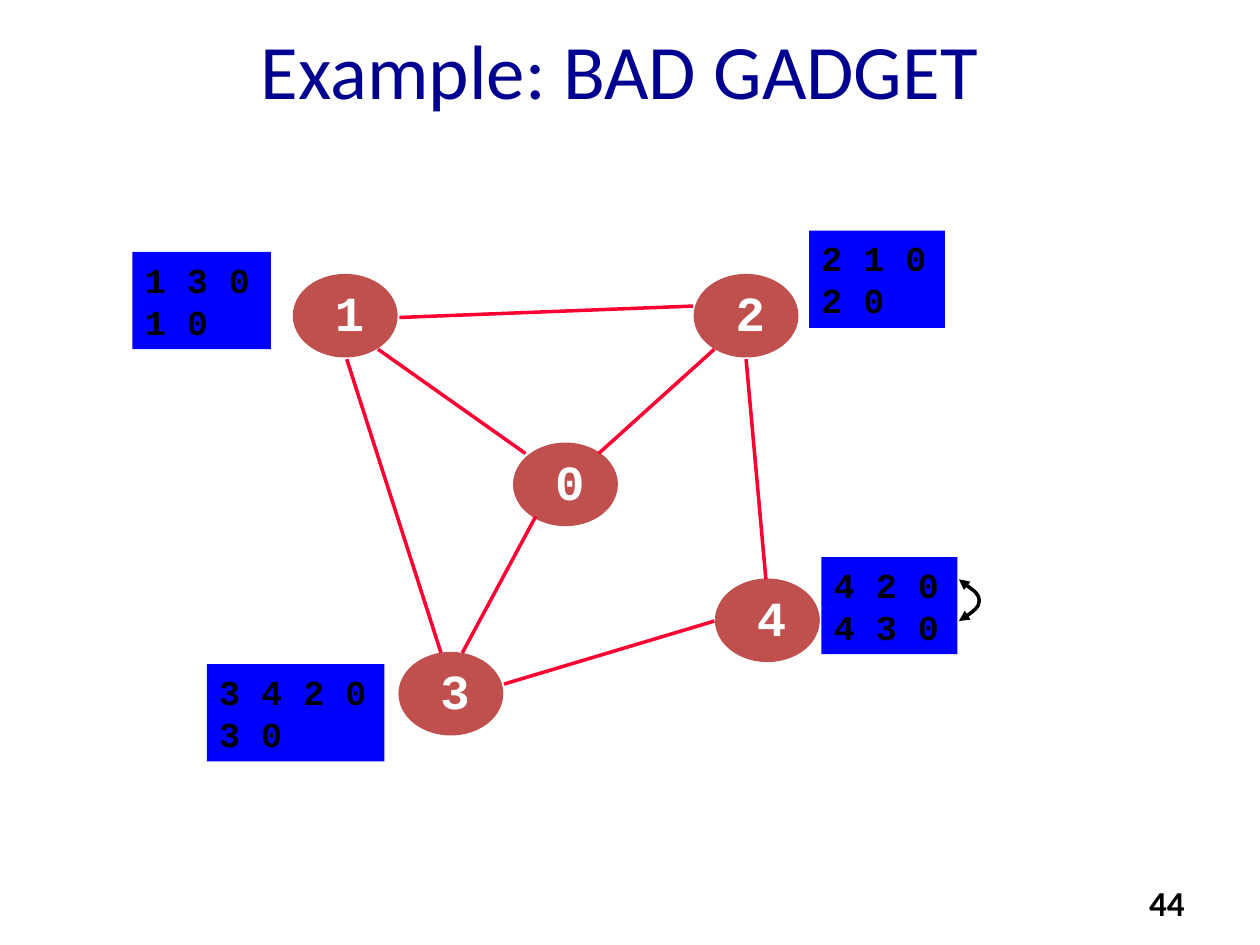
from dataclasses import dataclass

from lxml.etree import SubElement
from pptx import Presentation
from pptx.dml.color import RGBColor
from pptx.enum.shapes import MSO_CONNECTOR, MSO_SHAPE
from pptx.enum.text import MSO_ANCHOR, MSO_AUTO_SIZE, PP_ALIGN
from pptx.oxml.ns import qn
from pptx.slide import Slide
from pptx.util import Cm, Pt


@dataclass
class Node:
    name: str
    left: float
    top: float


@dataclass
class Edge:
    start: tuple[float, float]
    end: tuple[float, float]


@dataclass
class RouteBox:
    left: float
    top: float
    width: float
    routes: tuple[str, str]


NODES = [
    Node("1", 5.92, 5.54),
    Node("2", 14, 5.54),
    Node("4", 14.43, 11.68),
    Node("3", 8.05, 13.16),
    Node("0", 10.36, 8.94),
]
EDGES = [
    Edge((7.62, 7.04), (10.59, 9.14)),
    Edge((8.05, 6.4), (13.97, 6.17)),
    Edge((12.07, 9.14), (14.4, 7.04)),
    Edge((15.44, 11.68), (15.04, 7.24)),
    Edge((8.89, 13.16), (6.99, 7.24)),
    Edge((14.4, 12.52), (10.16, 13.79)),
    Edge((9.32, 13.16), (10.8, 10.41)),
]
ROUTE_BOXES = [
    RouteBox(16.31, 4.65, 2.74, ("2 1 0", "2 0")),
    RouteBox(2.67, 5.08, 2.79, ("1 3 0", "1 0")),
    RouteBox(16.56, 11.23, 2.74, ("4 2 0", "4 3 0")),
    RouteBox(4.17, 13.39, 3.58, ("3 4 2 0", "3 0")),
]
SWAP_CURVE = [
    (19.33, 11.68),
    (19.53, 11.84), (19.74, 11.96), (19.74, 12.12),
    (19.74, 12.24), (19.53, 12.4), (19.33, 12.52),
]


def color(value: str) -> RGBColor:
    return RGBColor.from_string(value)


def add_span(para, text: str, size: int, font: str, ink: str, bold: bool = False) -> None:
    span = para.add_run()
    span.text = text
    span.font.size = Pt(size)
    span.font.name = font
    span.font.bold = bold
    span.font.color.rgb = color(ink)


def paint(shape, fill: str) -> None:
    shape.shadow.inherit = False
    shape.fill.solid()
    shape.fill.fore_color.rgb = color(fill)


def add_title(page: Slide, text: str) -> None:
    title = page.shapes.title
    title.left, title.top, title.width, title.height = Cm(0.43), Cm(0.84), Cm(24.13), Cm(1.07)
    frame = title.text_frame
    frame.auto_size = MSO_AUTO_SIZE.NONE
    frame.vertical_anchor = MSO_ANCHOR.MIDDLE
    para = frame.paragraphs[0]
    para.alignment = PP_ALIGN.CENTER
    add_span(para, text, 44, "Calibri", "000090")


def add_page_number(page: Slide, text: str) -> None:
    box = page.shapes.add_textbox(Cm(18.21), Cm(17.65), Cm(5.92), Cm(1.02))
    box.text_frame.word_wrap = True
    para = box.text_frame.paragraphs[0]
    para.alignment = PP_ALIGN.RIGHT
    add_span(para, text, 20, "Calibri", "000000", bold=True)


def add_node(page: Slide, node: Node) -> None:
    group = page.shapes.add_group_shape()
    oval = group.shapes.add_shape(
        MSO_SHAPE.OVAL, Cm(node.left), Cm(node.top), Cm(2.08), Cm(1.65))
    paint(oval, "C0504D")
    oval.line.color.rgb = color("C0504D")
    oval.line.width = Pt(1)
    label = group.shapes.add_textbox(
        Cm(node.left + 0.58), Cm(node.top + 0.03), Cm(1.07), Cm(1.45))
    label.text_frame.word_wrap = False
    label.text_frame.auto_size = MSO_AUTO_SIZE.SHAPE_TO_FIT_TEXT
    add_span(label.text_frame.paragraphs[0], node.name, 28, "Courier New", "FFFFFF", bold=True)


def add_edge(page: Slide, edge: Edge) -> None:
    line = page.shapes.add_connector(
        MSO_CONNECTOR.STRAIGHT, *map(Cm, edge.start), *map(Cm, edge.end))
    line.line.color.rgb = color("FF0033")
    line.line.width = Pt(2)
    SubElement(line._element.spPr, qn("a:effectLst"))


def add_route_box(page: Slide, item: RouteBox) -> None:
    box = page.shapes.add_shape(
        MSO_SHAPE.RECTANGLE, Cm(item.left), Cm(item.top), Cm(item.width), Cm(1.96))
    paint(box, "0000FF")
    box.line.fill.background()
    frame = box.text_frame
    frame.word_wrap = True
    frame.auto_size = MSO_AUTO_SIZE.SHAPE_TO_FIT_TEXT
    frame.vertical_anchor = MSO_ANCHOR.TOP
    for index, route in enumerate(item.routes):
        para = frame.add_paragraph() if index else frame.paragraphs[0]
        para.alignment = PP_ALIGN.LEFT
        add_span(para, route, 20, "Courier New", "000000", bold=True)


def add_swap_arrow(page: Slide, points: list[tuple[float, float]]) -> None:
    start, *rest = [(Cm(x), Cm(y)) for x, y in points]
    builder = page.shapes.build_freeform(*start)
    builder.add_line_segments(rest, close=False)
    arrow = builder.convert_to_shape()
    arrow.shadow.inherit = False
    arrow.fill.background()
    arrow.line.color.rgb = color("000000")
    arrow.line.width = Pt(2)
    outline = arrow._element.spPr.find(".//" + qn("a:path"))
    segments = outline.findall(qn("a:lnTo"))
    for first in range(0, len(segments), 3):
        curve = SubElement(outline, qn("a:cubicBezTo"))
        for segment in segments[first:first + 3]:
            curve.append(segment[0])
            outline.remove(segment)
    for end in ("a:headEnd", "a:tailEnd"):
        SubElement(arrow.line._get_or_add_ln(), qn(end), type="triangle")


def main() -> None:
    deck = Presentation()
    deck.slide_width, deck.slide_height = Cm(25.4), Cm(19.05)
    page = deck.slides.add_slide(deck.slide_layouts[5])
    add_page_number(page, "44")
    add_title(page, "Example: BAD GADGET")
    for node in NODES:
        add_node(page, node)
    for edge in EDGES:
        add_edge(page, edge)
    for item in ROUTE_BOXES:
        add_route_box(page, item)
    add_swap_arrow(page, SWAP_CURVE)
    deck.save("out.pptx")


if __name__ == "__main__":
    main()
